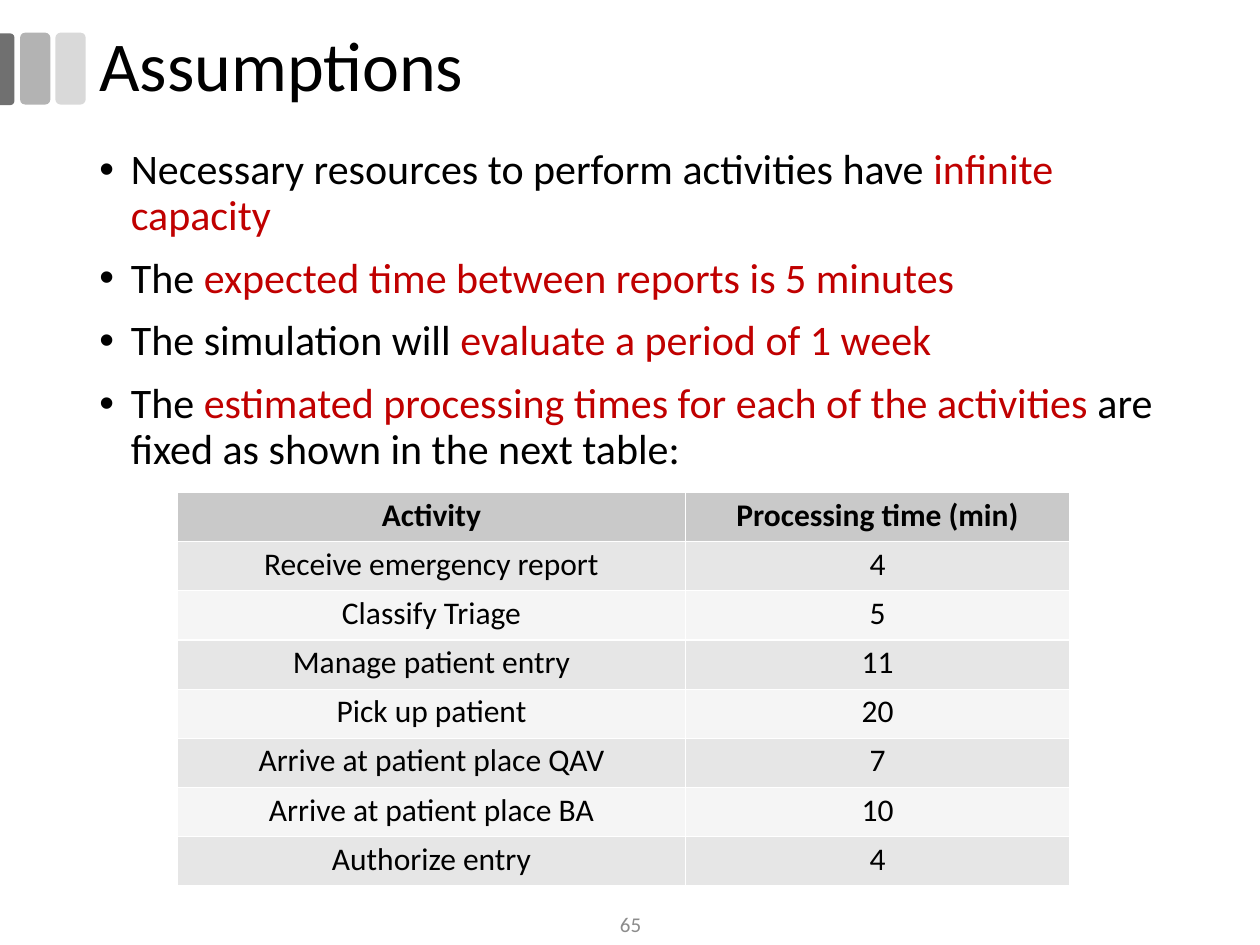
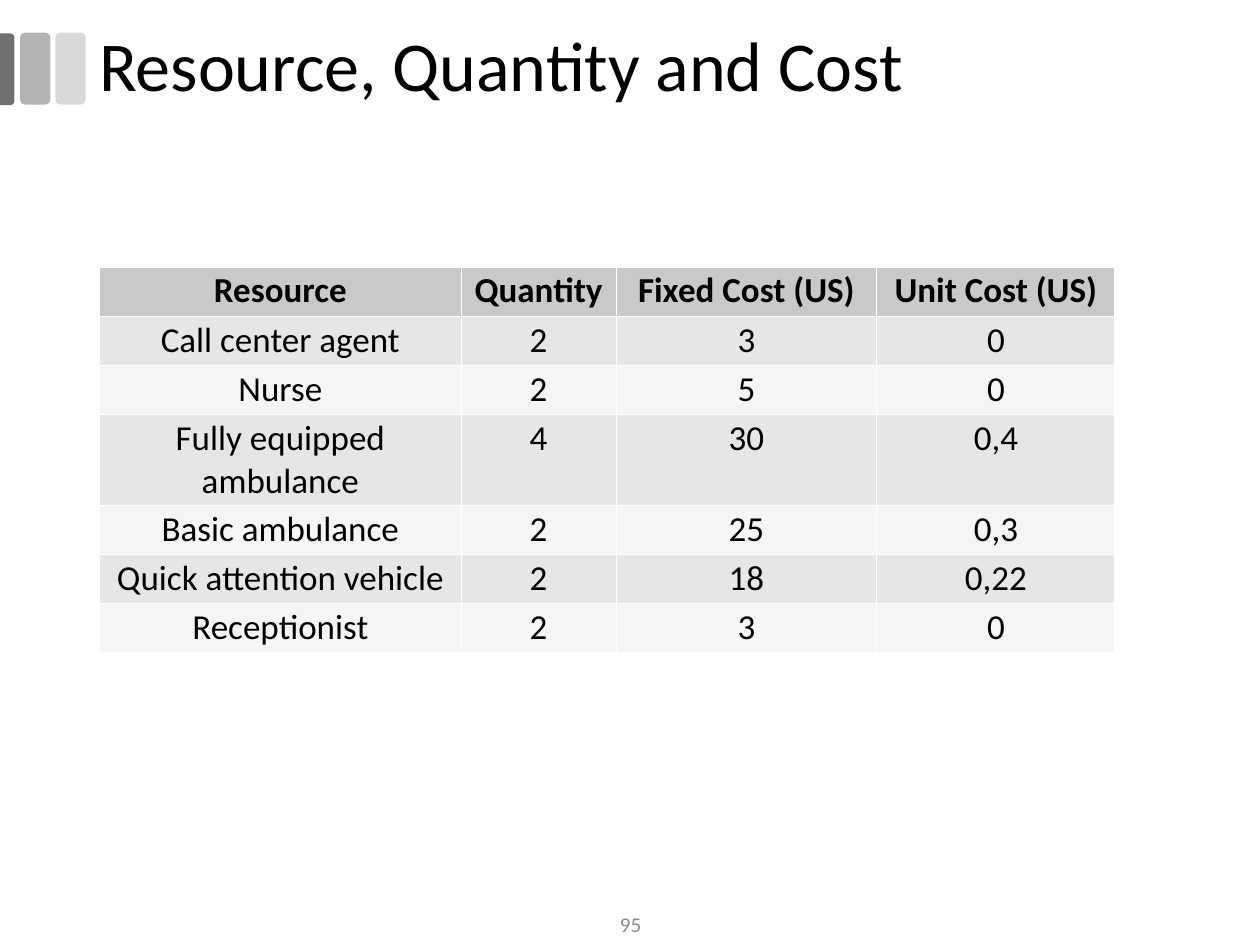
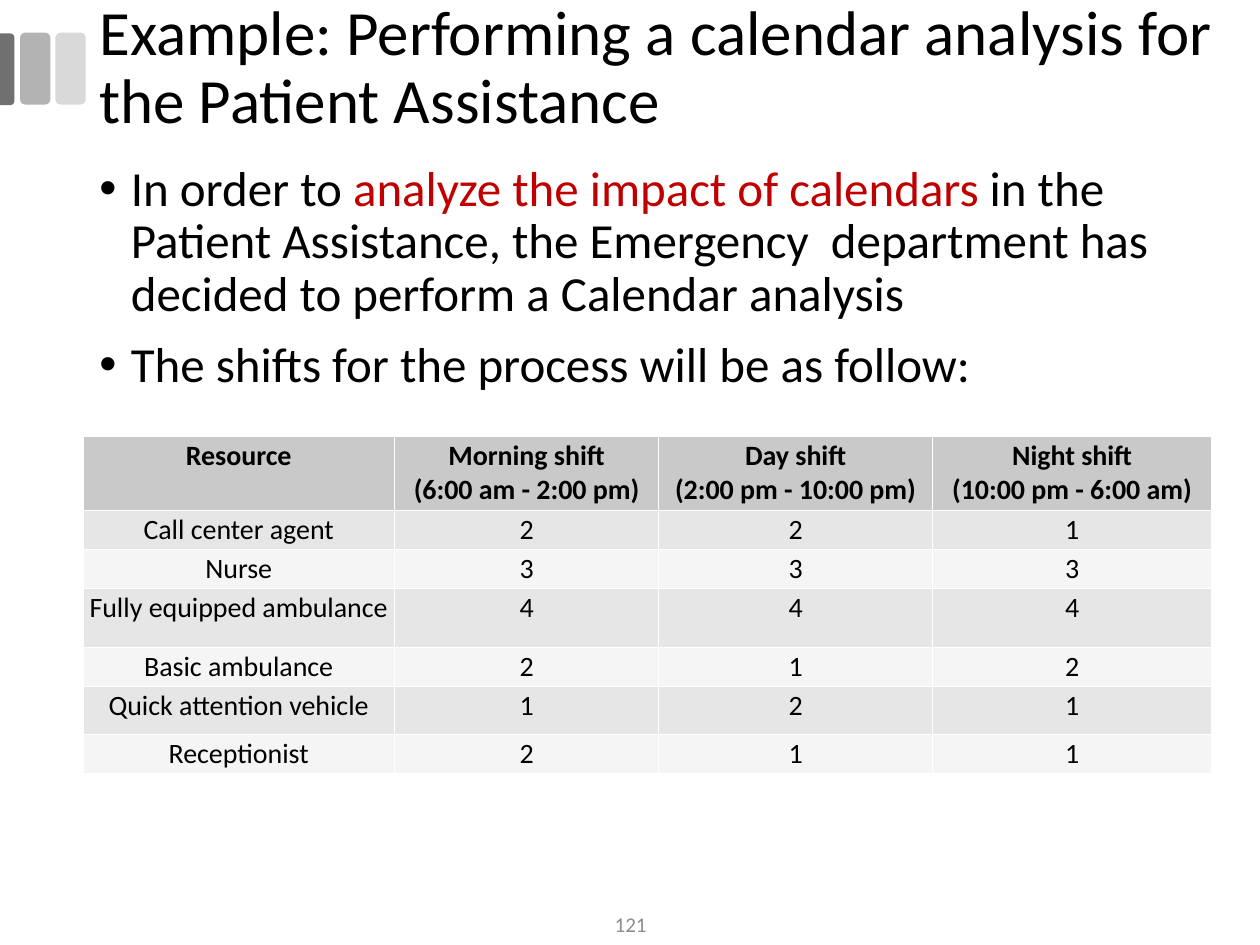
from lxml.etree import SubElement
from pptx import Presentation
from pptx.dml.color import RGBColor
from pptx.enum.shapes import MSO_SHAPE as Shape
from pptx.enum.text import MSO_ANCHOR as Anchor, PP_ALIGN as Align
from pptx.oxml.ns import qn
from pptx.util import Pt

PX = 9144  # EMU per px, 100 px to the inch
FONT = "Calibri"

BLACK = RGBColor(0x00, 0x00, 0x00)
WHITE = RGBColor(0xFF, 0xFF, 0xFF)
RED = RGBColor(0xC0, 0x00, 0x00)
DARK_GRAY = RGBColor(0x70, 0x70, 0x70)
MID_GRAY = RGBColor(0xB3, 0xB3, 0xB3)
LIGHT_GRAY = RGBColor(0xD9, 0xD9, 0xD9)
NUMBER_GRAY = RGBColor(0x8C, 0x8C, 0x8C)
HEADER_FILL = RGBColor(0xC9, 0xC9, 0xC9)
BAND_FILLS = (RGBColor(0xF5, 0xF5, 0xF5), RGBColor(0xE6, 0xE6, 0xE6))


def px(*lengths):
    return [length * PX for length in lengths]


class Deck:
    """Holds the shared style and the slide being built."""

    def __init__(self):
        self.presentation = Presentation()
        self.presentation.slide_width, self.presentation.slide_height = px(1000, 750)
        self.slide = None

    def new_slide(self, title, number, title_size=40):
        layout = self.presentation.slide_layouts[6]
        self.slide = self.presentation.slides.add_slide(layout)
        # Bars at the left edge
        self.bar(Shape.ROUNDED_RECTANGLE, 44, 26, 24, 57, LIGHT_GRAY)
        self.bar(Shape.ROUNDED_RECTANGLE, 16, 26, 24, 57, MID_GRAY)
        edge = self.bar(Shape.ROUND_2_SAME_RECTANGLE, -23, 49, 57, 12, DARK_GRAY)
        edge.rotation = 90
        edge.adjustments[0] = 0.29
        # Title and slide number
        heading = self.text_box(69, 17, 930, 75, Anchor.MIDDLE).paragraphs[0]
        heading.text = title
        heading.line_spacing = 0.9
        self.style(heading, title_size)
        footer = self.text_box(388, 717, 225, 33, Anchor.MIDDLE).paragraphs[0]
        footer.text = str(number)
        footer.alignment = Align.CENTER
        self.style(footer, 12, NUMBER_GRAY)

    def bar(self, kind, left, top, width, height, color):
        shape = self.slide.shapes.add_shape(kind, *px(left, top, width, height))
        shape.shadow.inherit = False
        shape.fill.solid()
        shape.fill.fore_color.rgb = color
        shape.line.fill.background()
        return shape

    def text_box(self, left, top, width, height, anchor=Anchor.TOP):
        box = self.slide.shapes.add_textbox(*px(left, top, width, height))
        frame = box.text_frame
        frame.word_wrap = True
        frame.vertical_anchor = anchor
        return frame

    def style(self, paragraph, size, color=BLACK, bold=False):
        font = paragraph.font
        font.name, font.size, font.bold = FONT, Pt(size), bold
        font.color.rgb = color

    def bullets(self, top, size, items):
        """Add bulleted lines; text between asterisks is red."""
        frame = self.text_box(69, top, 862, 583)
        for index, item in enumerate(items):
            paragraph = frame.add_paragraph() if index else frame.paragraphs[0]
            paragraph.line_spacing = 0.9
            if index:
                paragraph.space_before = Pt(10)
            properties = paragraph._p.get_or_add_pPr()
            properties.set("marL", str(25 * PX))
            properties.set("indent", str(-25 * PX))
            SubElement(properties, qn("a:buFont"), typeface="Arial")
            SubElement(properties, qn("a:buChar"), char="•")
            self.style(paragraph, size)
            for part, text in enumerate(item.split("*")):
                if text:
                    run = paragraph.add_run()
                    run.text = text
                    if part % 2:
                        run.font.color.rgb = RED

    def table(self, left, top, widths, heights, size, rows, margin=2):
        frame = self.slide.shapes.add_table(
            len(rows), len(widths), *px(left, top, sum(widths), sum(heights)))
        table = frame.table
        table.horz_banding = False
        for column, width in zip(table.columns, px(*widths)):
            column.width = width
        for row, height in zip(table.rows, px(*heights)):
            row.height = height
        for row_index, texts in enumerate(rows):
            fill = BAND_FILLS[row_index % 2] if row_index else HEADER_FILL
            for column_index, text in enumerate(texts):
                cell = table.cell(row_index, column_index)
                self.cell(cell, text, size, fill, row_index == 0, margin)

    def cell(self, cell, text, size, fill, bold, margin):
        cell.margin_left = cell.margin_right = margin * PX
        cell.margin_top = cell.margin_bottom = margin * PX
        properties = cell._tc.get_or_add_tcPr()
        for side in ("lnL", "lnR", "lnT", "lnB"):
            line = SubElement(properties, qn(f"a:{side}"), w=str(Pt(0.75)))
            solid = SubElement(line, qn("a:solidFill"))
            SubElement(solid, qn("a:srgbClr"), val=str(WHITE))
        cell.fill.solid()
        cell.fill.fore_color.rgb = fill
        cell.text = text
        paragraph = cell.text_frame.paragraphs[0]
        paragraph.alignment = Align.CENTER
        self.style(paragraph, size, bold=bold)


def main():
    deck = Deck()

    # Assumptions
    deck.new_slide("Assumptions", 65)
    deck.bullets(113, 24, [
        "Necessary resources to perform activities have *infinite capacity*",
        "The *expected time between reports is 5 minutes*",
        "The simulation will *evaluate a period of 1 week*",
        "The *estimated processing times for each of the activities *"
        "are fixed as shown in the next table:",
    ])
    deck.table(141, 391, [403, 305], [39] * 8, 18, [
        ("Activity", "Processing time (min)"),
        ("Receive emergency report", "4"),
        ("Classify Triage", "5"),
        ("Manage patient entry", "11"),
        ("Pick up patient", "20"),
        ("Arrive at patient place QAV", "7"),
        ("Arrive at patient place BA", "10"),
        ("Authorize entry", "4"),
    ], margin=3)

    # Resource costs
    deck.new_slide("Resource, Quantity and Cost", 95)
    deck.table(79, 212, [287, 123, 207, 189], [39, 39, 39, 72, 39, 39, 39], 20, [
        ("Resource", "Quantity", "Fixed Cost (US)", "Unit Cost (US)"),
        ("Call center agent", "2", "3", "0"),
        ("Nurse", "2", "5", "0"),
        ("Fully equipped ambulance", "4", "30", "0,4"),
        ("Basic ambulance", "2", "25", "0,3"),
        ("Quick attention vehicle", "2", "18", "0,22"),
        ("Receptionist", "2", "3", "0"),
    ])

    # Calendar analysis
    deck.new_slide("Example: Performing a calendar analysis for the Patient Assistance",
                   121, title_size=36)
    deck.bullets(125, 28, [
        "In order to *analyze the impact of calendars *in the Patient Assistance, "
        "the Emergency  department has decided to perform a Calendar analysis",
        "The shifts for the process will be as follow:",
    ])
    deck.table(66, 346, [247, 210, 217, 222], [59, 31, 31, 47, 31, 38, 31], 16, [
        ("Resource", "Morning shift\v(6:00 am - 2:00 pm)",
         "Day shift\v(2:00 pm - 10:00 pm)", "Night shift\v(10:00 pm - 6:00 am)"),
        ("Call center agent", "2", "2", "1"),
        ("Nurse", "3", "3", "3"),
        ("Fully equipped ambulance", "4", "4", "4"),
        ("Basic ambulance", "2", "1", "2"),
        ("Quick attention vehicle", "1", "2", "1"),
        ("Receptionist", "2", "1", "1"),
    ])

    deck.presentation.save("out.pptx")


if __name__ == "__main__":
    main()
